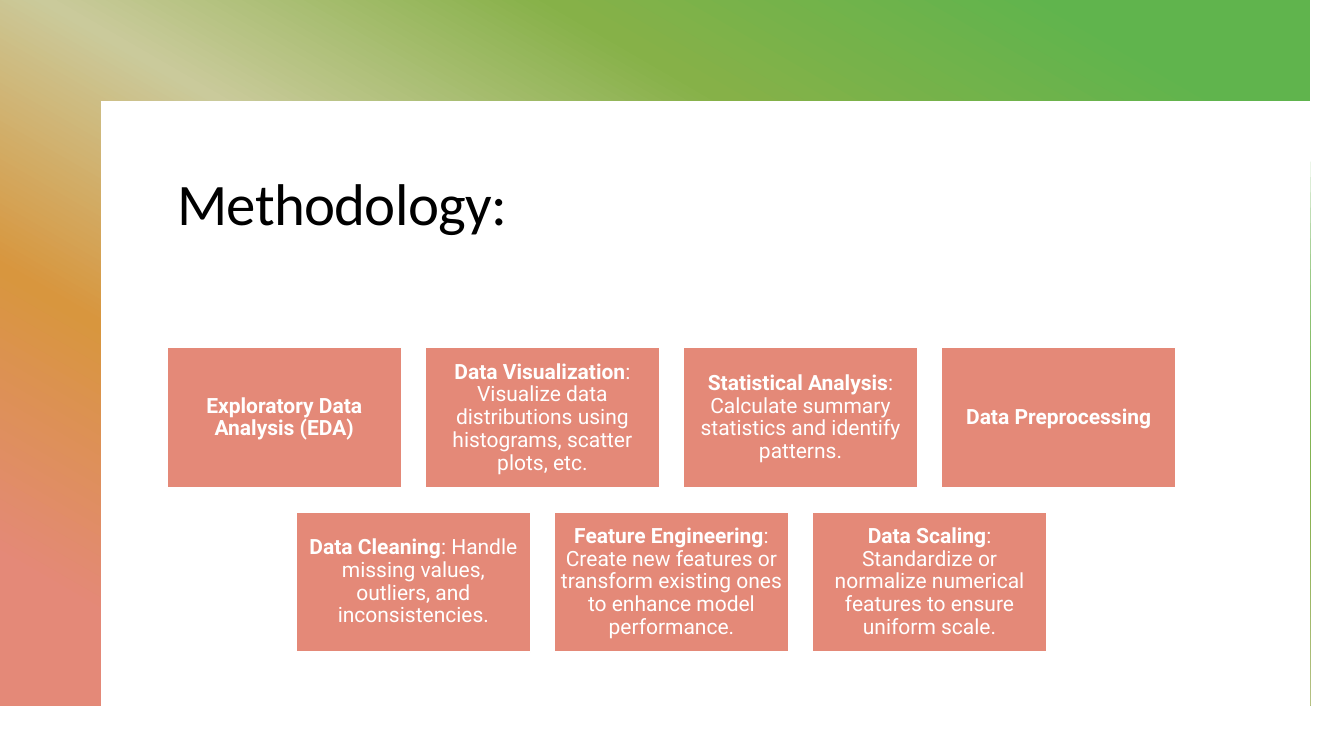
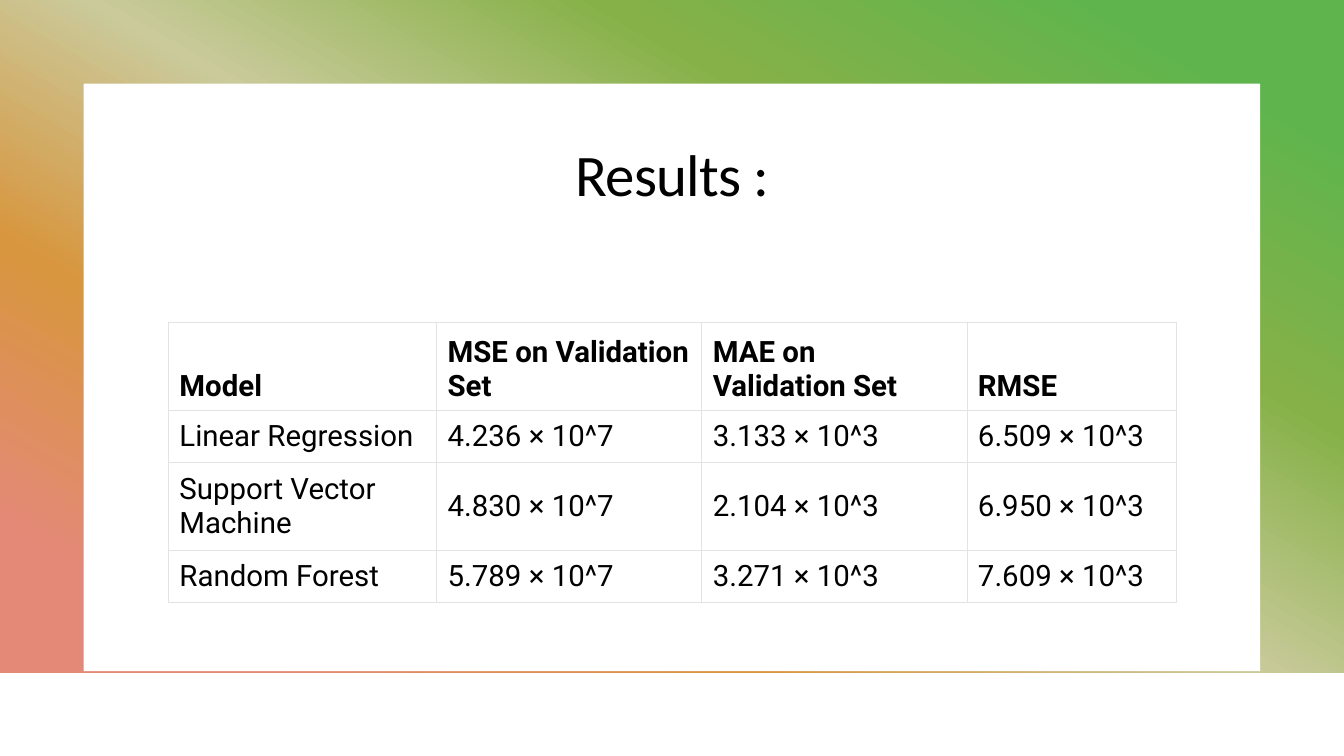
from dataclasses import dataclass

from lxml.etree import SubElement
from pptx import Presentation
from pptx.dml.color import RGBColor
from pptx.enum.shapes import MSO_SHAPE as ShapeKind
from pptx.enum.text import MSO_ANCHOR as Anchor, MSO_AUTO_SIZE as AutoSize, PP_ALIGN as Align
from pptx.oxml import parse_xml
from pptx.oxml.ns import nsdecls, qn
from pptx.shapes.autoshape import Shape
from pptx.slide import Slide, SlideLayout
from pptx.table import _Cell as Cell
from pptx.util import Inches, Pt

WHITE = RGBColor(0xFF, 0xFF, 0xFF)
BLACK = RGBColor(0x00, 0x00, 0x00)
CORAL = RGBColor(0xE4, 0x89, 0x78)
GRID = RGBColor(0xE3, 0xE3, 0xE3)
GRADIENT = {
    10: RGBColor(0x60, 0xB4, 0x4D),
    30: RGBColor(0x86, 0xB1, 0x48),
    50: RGBColor(0xCA, 0xCA, 0x9B),
    70: RGBColor(0xD8, 0x96, 0x3E),
    90: CORAL,
}
GRADIENT_ANGLE = 120
TITLE_FONT = "Calibri"
BODY_FONT = "Roboto"
SLIDE_WIDTH, SLIDE_HEIGHT = 13.33, 7.5

CARD_WIDTH, CARD_HEIGHT, CARD_GAP = 2.32, 1.39, 0.24
CARDS_CENTER, CARDS_TOP = 6.66, 3.45


@dataclass(frozen=True)
class Box:
    left: float
    top: float
    width: float
    height: float

    def lengths(self) -> tuple[Inches, ...]:
        return tuple(Inches(n) for n in (self.left, self.top, self.width, self.height))


@dataclass(frozen=True)
class Card:
    heading: str
    detail: str = ""


CARD_ROWS = [
    [
        Card("Exploratory Data Analysis (EDA)"),
        Card("Data Visualization",
             ": Visualize data distributions using histograms, scatter plots, etc."),
        Card("Statistical Analysis",
             ": Calculate summary statistics and identify patterns."),
        Card("Data Preprocessing"),
    ],
    [
        Card("Data Cleaning",
             ": Handle missing values, outliers, and inconsistencies."),
        Card("Feature Engineering",
             ": Create new features or transform existing ones to enhance model performance."),
        Card("Data Scaling",
             ": Standardize or normalize numerical features to ensure uniform scale."),
    ],
]

RESULTS = [
    ["Model", "MSE on Validation Set", "MAE on Validation Set", "RMSE"],
    ["Linear Regression", "4.236 × 10^7", "3.133 × 10^3", "6.509 × 10^3"],
    ["Support Vector Machine", "4.830 × 10^7", "2.104 × 10^3", "6.950 × 10^3"],
    ["Random Forest", "5.789 × 10^7", "3.271 × 10^3", "7.609 × 10^3"],
]
COLUMN_WIDTHS = [2.66, 2.63, 2.63, 2.08]
ROW_HEIGHTS = [0.87, 0.52, 0.87, 0.52]


def fill_gradient(shape: Shape) -> None:
    shape.fill.gradient()
    gradient = shape.element.spPr.find(qn("a:gradFill"))
    stops = "".join(
        f'<a:gs pos="{position * 1000}"><a:srgbClr val="{color}"/></a:gs>'
        for position, color in GRADIENT.items()
    )
    gradient.getparent().replace(gradient, parse_xml(
        f'<a:gradFill {nsdecls("a")} rotWithShape="1"><a:gsLst>{stops}</a:gsLst>'
        f'<a:lin ang="{GRADIENT_ANGLE * 60000}" scaled="0"/></a:gradFill>'
    ))


def add_rectangle(slide: Slide, box: Box, color: RGBColor | None = None) -> Shape:
    shape = slide.shapes.add_shape(ShapeKind.RECTANGLE, *box.lengths())
    shape.shadow.inherit = False
    shape.line.fill.background()
    if color is None:
        fill_gradient(shape)
    else:
        shape.fill.solid()
        shape.fill.fore_color.rgb = color
    return shape


def add_layout_frame(layout: SlideLayout, slide: Slide) -> None:
    builder = slide.shapes.build_freeform(0, 0, scale=Inches(1))
    builder.add_line_segments([
        (13.33, 0), (13.33, 6.68), (12.51, 6.68), (12.51, 0.84),
        (0.84, 0.84), (0.84, 6.68), (0, 6.68),
    ], close=True)
    frame = builder.convert_to_shape()
    frame.shadow.inherit = False
    frame.line.fill.background()
    fill_gradient(frame)
    frame.element.nvSpPr.cNvPr.set("id", "20")
    layout.shapes.element.insert(2, frame.element)


def set_title(slide: Slide, text: str, box: Box, align: Align, anchor: Anchor) -> None:
    title = slide.shapes.title
    title.left, title.top, title.width, title.height = box.lengths()
    frame = title.text_frame
    frame.text = text
    frame.auto_size = AutoSize.NONE
    frame.vertical_anchor = anchor
    paragraph = frame.paragraphs[0]
    paragraph.alignment = align
    paragraph.line_spacing = 0.95
    run = paragraph.runs[0]
    run.font.name = TITLE_FONT
    run.font.size = Pt(42)
    run.font.color.rgb = BLACK
    run.font._element.set("spc", "-50")


def add_card(slide: Slide, card: Card, left: float, top: float) -> None:
    shape = add_rectangle(slide, Box(left, top, CARD_WIDTH, CARD_HEIGHT), CORAL)
    shape.line.color.rgb = WHITE
    shape.line.width = Pt(1)
    frame = shape.text_frame
    frame.word_wrap = True
    frame.vertical_anchor = Anchor.MIDDLE
    frame.margin_left = frame.margin_right = Inches(0.06)
    frame.margin_top = frame.margin_bottom = Inches(0.06)
    paragraph = frame.paragraphs[0]
    paragraph.alignment = Align.CENTER
    paragraph.line_spacing = 0.9
    for text, bold in ((card.heading, True), (card.detail, False)):
        if text:
            run = paragraph.add_run()
            run.text = text
            run.font.name = BODY_FONT
            run.font.size = Pt(15)
            run.font.bold = bold
            run.font.color.rgb = WHITE


def set_borders(cell: Cell, top: float, bottom: float) -> None:
    properties = cell._tc.get_or_add_tcPr()
    widths = {"a:lnL": 0.5, "a:lnR": 0.5, "a:lnT": top, "a:lnB": bottom}
    for index, (tag, width) in enumerate(widths.items()):
        border = SubElement(properties, qn(tag), w=str(Pt(width)))
        fill = SubElement(border, qn("a:solidFill"))
        SubElement(fill, qn("a:srgbClr"), val=str(GRID))
        properties.insert(index, border)


def fill_cell(cell: Cell, text: str, row: int) -> None:
    header = row == 0
    cell.fill.solid()
    cell.fill.fore_color.rgb = WHITE
    cell.margin_left = cell.margin_right = Inches(0.11)
    cell.margin_top = cell.margin_bottom = Inches(0.06)
    cell.vertical_anchor = Anchor.BOTTOM if header else Anchor.MIDDLE
    cell.text_frame.text = text
    font = cell.text_frame.paragraphs[0].runs[0].font
    font.name = BODY_FONT
    font.size = Pt(21)
    font.bold = header
    font.color.rgb = BLACK
    last = row == len(RESULTS) - 1
    set_borders(cell, 0.5 if header else 1, 0.5 if last else 1)


def add_results_table(slide: Slide, box: Box) -> None:
    table = slide.shapes.add_table(len(RESULTS), len(COLUMN_WIDTHS), *box.lengths()).table
    table.first_row = table.horz_banding = False
    for column, width in zip(table.columns, COLUMN_WIDTHS):
        column.width = Inches(width)
    for row, height in zip(table.rows, ROW_HEIGHTS):
        row.height = Inches(height)
    for row_index, texts in enumerate(RESULTS):
        for column_index, text in enumerate(texts):
            fill_cell(table.cell(row_index, column_index), text, row_index)


def build_methodology(slide: Slide) -> None:
    set_title(slide, "Methodology:", Box(1.66, 1.66, 10, 1.47), Align.LEFT, Anchor.TOP)
    for row_index, cards in enumerate(CARD_ROWS):
        row_width = len(cards) * (CARD_WIDTH + CARD_GAP) - CARD_GAP
        left = CARDS_CENTER - row_width / 2
        top = CARDS_TOP + row_index * (CARD_HEIGHT + CARD_GAP)
        for index, card in enumerate(cards):
            add_card(slide, card, left + index * (CARD_WIDTH + CARD_GAP), top)


def build_results(slide: Slide) -> None:
    backdrop = [
        add_rectangle(slide, Box(0, 0, SLIDE_WIDTH, SLIDE_HEIGHT), WHITE),
        add_rectangle(slide, Box(0, -0.01, SLIDE_WIDTH, 6.68)),
        add_rectangle(slide, Box(0.83, 0.83, 11.67, 5.83), WHITE),
    ]
    for shape in backdrop:
        slide.shapes.title.element.addprevious(shape.element)
    set_title(slide, "Results :", Box(1.67, 1.24, 10, 1.01), Align.CENTER, Anchor.MIDDLE)
    add_results_table(slide, Box(1.67, 3.2, 10, 2.78))


def main() -> None:
    presentation = Presentation()
    presentation.slide_width = Inches(SLIDE_WIDTH)
    presentation.slide_height = Inches(SLIDE_HEIGHT)
    layout = presentation.slide_layouts[5]
    methodology = presentation.slides.add_slide(layout)
    add_layout_frame(layout, methodology)
    build_methodology(methodology)
    build_results(presentation.slides.add_slide(layout))
    presentation.save("out.pptx")


if __name__ == "__main__":
    main()
